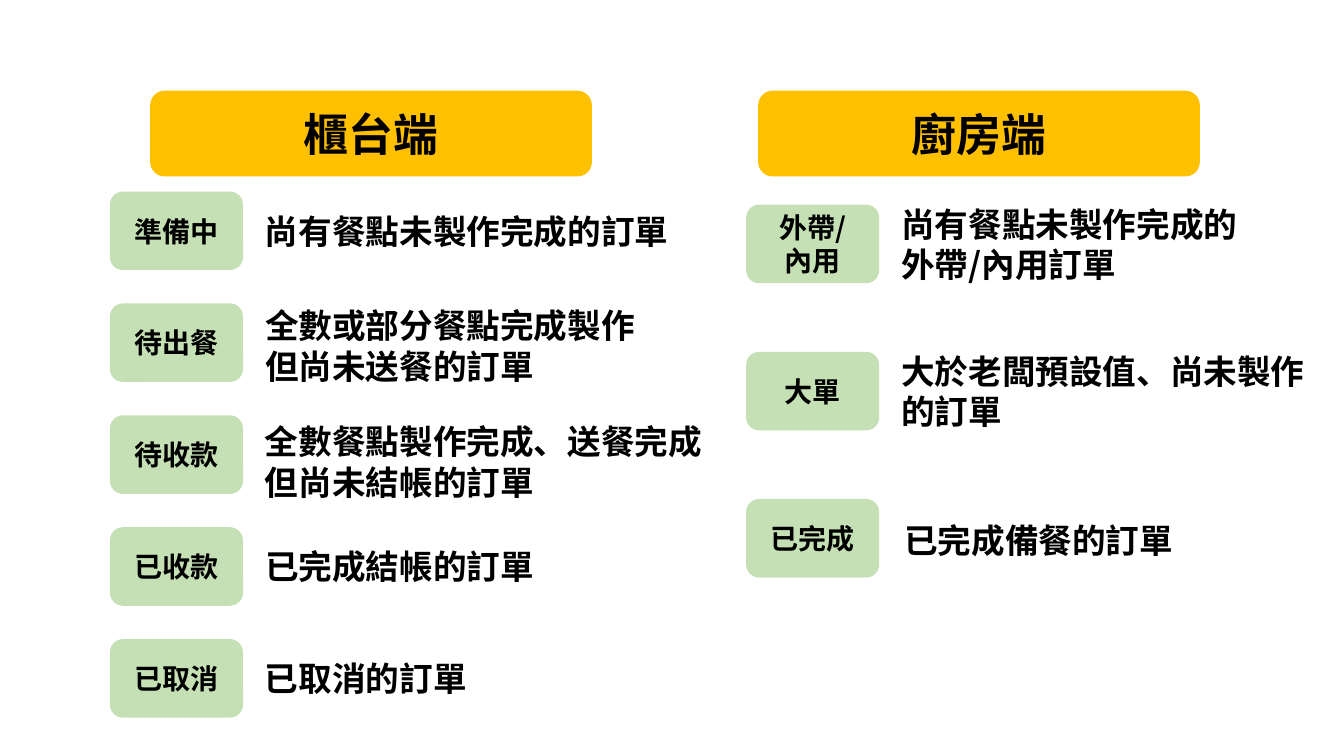
from lxml import etree
from pptx import Presentation
from pptx.dml.color import RGBColor
from pptx.enum.shapes import MSO_SHAPE
from pptx.enum.text import MSO_ANCHOR, MSO_AUTO_SIZE, PP_ALIGN
from pptx.oxml.ns import qn
from pptx.util import Inches, Pt

ROUNDED = MSO_SHAPE.ROUNDED_RECTANGLE
MIDDLE, TOP = MSO_ANCHOR.MIDDLE, MSO_ANCHOR.TOP
CENTER, LEFT = PP_ALIGN.CENTER, PP_ALIGN.LEFT
GROW = MSO_AUTO_SIZE.SHAPE_TO_FIT_TEXT
FONT = "Noto Sans CJK SC"
AMBER = RGBColor(0xFF, 0xC0, 0x00)
GREEN = RGBColor(0xC5, 0xE0, 0xB4)
BLACK = RGBColor(0, 0, 0)

SIDES = [
    {
        "title": "櫃台端", "title_left": 1.49, "status_left": 1.09,
        "first_top": 1.9, "pitch": 1.11,
        "rows": [
            (["準備中"], ["尚有餐點未製作完成的訂單"], (0, 0)),
            (["待出餐"], ["全數或部分餐點完成製作", "但尚未送餐的訂單"], (0, 0.03)),
            (["待收款"], ["全數餐點製作完成、送餐完成", "但尚未結帳的訂單"], (0, 0.07)),
            (["已收款"], ["已完成結帳的訂單"], (0, 0)),
            (["已取消"], ["已取消的訂單"], (0, 0)),
        ],
    },
    {
        "title": "廚房端", "title_left": 7.52, "status_left": 7.4,
        "first_top": 2.03, "pitch": 1.46,
        "rows": [
            (["外帶/", "內用"], ["尚有餐點未製作完成的", "外帶/內用訂單"], (0, 0)),
            (["大單"], ["大於老闆預設值、尚未製作", "的訂單"], (0, 0)),
            (["已完成"], ["已完成備餐的訂單"], (0.03, 0.02)),
        ],
    },
]
TITLE_TOP, TITLE_WIDTH, TITLE_HEIGHT = 0.9, 4.38, 0.85
STATUS_WIDTH, STATUS_HEIGHT = 1.32, 0.78
MEANING_OFFSET, MEANING_SIZE = 1.44, 24
LINE_HEIGHT = 0.4

deck = Presentation()
deck.slide_width, deck.slide_height = Inches(13.33), Inches(7.5)
slide = deck.slides.add_slide(deck.slide_layouts[6])


def write(frame, lines, size, align, anchor):
    frame.vertical_anchor = anchor
    for index, line in enumerate(lines):
        paragraph = frame.add_paragraph() if index else frame.paragraphs[0]
        paragraph.alignment = align
        run = paragraph.add_run()
        run.text = line
        for key, value in {"size": Pt(size), "bold": True, "name": FONT}.items():
            setattr(run.font, key, value)
        run.font.color.rgb = BLACK
        east_asian = etree.SubElement(run.font._element, qn("a:ea"))
        east_asian.set("typeface", FONT)


def add_label(box, color, lines, size):
    label = slide.shapes.add_shape(ROUNDED, *map(Inches, box))
    label.shadow.inherit = False
    label.fill.solid()
    label.fill.fore_color.rgb = color
    label.line.fill.background()
    write(label.text_frame, lines, size, CENTER, MIDDLE)


def add_meaning(left, middle, lines):
    width = 0.24 + max(map(len, lines)) * MEANING_SIZE / 72
    height = 0.1 + LINE_HEIGHT * len(lines)
    box = (left, middle - height / 2, width, height)
    meaning = slide.shapes.add_textbox(*map(Inches, box))
    meaning.text_frame.word_wrap = False
    meaning.text_frame.auto_size = GROW
    write(meaning.text_frame, lines, MEANING_SIZE, LEFT, TOP)


for side in SIDES:
    title_box = (side["title_left"], TITLE_TOP, TITLE_WIDTH, TITLE_HEIGHT)
    add_label(title_box, AMBER, [side["title"]], 32)
    for row, (status, meaning, (shift_x, shift_y)) in enumerate(side["rows"]):
        left = side["status_left"]
        top = side["first_top"] + row * side["pitch"]
        add_label((left, top, STATUS_WIDTH, STATUS_HEIGHT), GREEN, status, 20)
        add_meaning(left + MEANING_OFFSET + shift_x,
                    top + STATUS_HEIGHT / 2 + shift_y, meaning)

deck.save("out.pptx")
